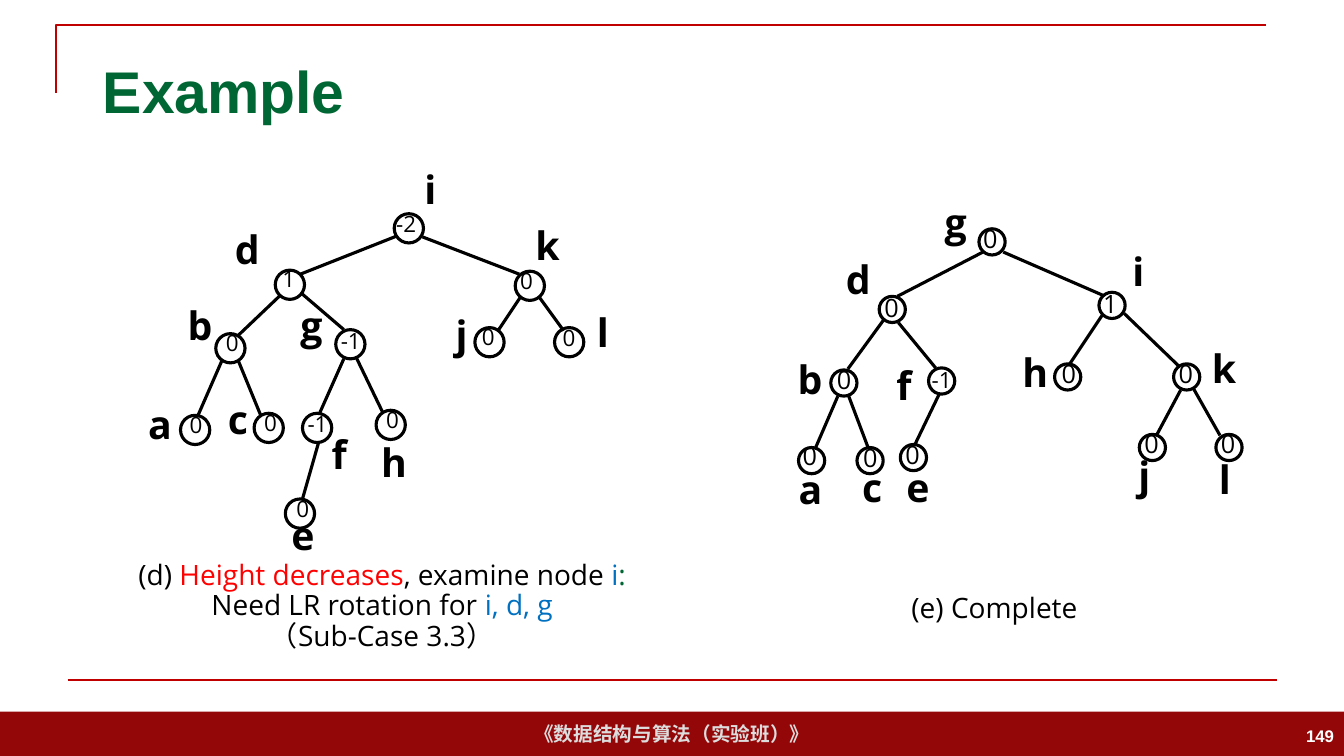
"""Build a slide that shows an AVL tree before and after an LR rotation."""
from lxml import etree
from pptx import Presentation, util as u
from pptx.dml.color import RGBColor
from pptx.enum import shapes, text
from pptx.oxml import ns

BLACK = RGBColor(0x00, 0x00, 0x00)
WHITE = RGBColor(0xFF, 0xFF, 0xFF)
GREY = RGBColor(0xDD, 0xDD, 0xDD)
GREEN = RGBColor(0x00, 0x66, 0x33)
BLUE = RGBColor(0x00, 0x70, 0xC0)
RED = RGBColor(0xFF, 0x00, 0x00)
RULE_RED = RGBColor(0xC0, 0x00, 0x00)
BAR_RED = RGBColor(0x94, 0x07, 0x09)

LEFT_ALIGN, CENTER, RIGHT_ALIGN = (
    text.PP_ALIGN.LEFT, text.PP_ALIGN.CENTER, text.PP_ALIGN.RIGHT)
MIDDLE = text.MSO_ANCHOR.MIDDLE
TIGHT = {"margin_left": 0, "margin_top": 0, "margin_right": 0,
         "margin_bottom": 0, "word_wrap": True}
VALUE = {"name": "Open Sans", "size": u.Pt(16), "bold": False}
LARGE_VALUE = {**VALUE, "size": u.Pt(18)}
LABEL = {"name": "Open Sans", "size": u.Pt(28), "bold": True}
CAPTION = {"name": "Open Sans", "size": u.Pt(20), "bold": False}
TITLE = {"name": "Arial", "size": u.Pt(42), "bold": True}
FOOTER = {"name": "Arial", "size": u.Pt(14), "bold": True}
PAGE_NUMBER = {**FOOTER, "size": u.Pt(12)}

# Node: label, label left and top, balance, ring left and top, balance left and top
UNBALANCED_NODES = [
    ("i", 4.21, 1.69, "-2", 3.91, 2.12, 3.93, 2.12),
    ("d", 2.33, 2.29, "1", 2.73, 2.68, 2.80, 2.66),
    ("k", 5.31, 2.25, "0", 5.11, 2.69, 5.16, 2.68),
    ("b", 1.86, 3.04, "0", 2.14, 3.31, 2.24, 3.30),
    ("g", 2.98, 3.04, "-1", 3.33, 3.27, 3.38, 3.28),
    ("j", 4.52, 3.13, "0", 4.71, 3.25, 4.78, 3.24),
    ("l", 5.92, 3.11, "0", 5.50, 3.25, 5.58, 3.25),
    ("a", 1.47, 4.02, "0", 1.79, 4.12, 1.88, 4.11),
    ("c", 2.26, 3.97, "0", 2.52, 4.10, 2.62, 4.09),
    ("f", 3.29, 4.32, "-1", 3.00, 4.10, 3.05, 4.10),
    ("h", 3.78, 4.40, "0", 3.73, 4.07, 3.83, 4.06),
    ("e", 2.89, 5.13, "0", 2.83, 4.95, 2.94, 4.94),
]
UNBALANCED_EDGES = [
    (3.94, 2.34, 2.98, 2.72), (4.19, 2.35, 5.15, 2.72),
    (2.77, 2.94, 2.36, 3.33), (2.99, 2.91, 3.41, 3.27),
    (5.16, 2.95, 4.94, 3.28), (5.35, 2.95, 5.59, 3.28),
    (2.20, 3.58, 1.96, 4.13), (2.36, 3.57, 2.59, 4.13),
    (3.41, 3.56, 3.17, 4.10), (3.53, 3.54, 3.80, 4.10),
    (3.16, 4.39, 3.00, 4.95),
]
BALANCED_NODES = [
    ("g", 9.37, 2.02, "0", 9.71, 2.27, 9.75, 2.25),
    ("d", 8.39, 2.59, "0", 8.72, 2.94, 8.77, 2.93),
    ("i", 11.23, 2.51, "1", 10.90, 2.90, 10.94, 2.89),
    ("b", 7.91, 3.58, "0", 8.24, 3.67, 8.30, 3.65),
    ("f", 8.89, 3.64, "-1", 9.21, 3.65, 9.24, 3.66),
    ("h", 10.14, 3.51, "0", 10.46, 3.61, 10.53, 3.59),
    ("k", 12.02, 3.47, "0", 11.64, 3.61, 11.69, 3.59),
    ("a", 7.92, 4.67, "0", 7.92, 4.44, 7.96, 4.40),
    ("c", 8.55, 4.65, "0", 8.50, 4.44, 8.56, 4.42),
    ("e", 8.99, 4.65, "0", 8.93, 4.41, 8.98, 4.39),
    ("j", 11.29, 4.53, "0", 11.30, 4.31, 11.35, 4.28),
    ("l", 12.09, 4.57, "0", 12.06, 4.31, 12.11, 4.28),
]
BALANCED_EDGES = [
    (9.75, 2.50, 8.90, 2.94), (9.95, 2.50, 10.94, 2.93),
    (8.76, 3.18, 8.41, 3.66), (8.91, 3.20, 9.28, 3.65),
    (10.93, 3.13, 10.61, 3.61), (11.15, 3.11, 11.69, 3.63),
    (8.31, 3.93, 8.09, 4.44), (8.41, 3.91, 8.61, 4.44),
    (9.32, 3.90, 9.07, 4.42), (11.71, 3.87, 11.47, 4.32),
    (11.84, 3.86, 12.10, 4.32),
]
ROTATION_CAPTION = [
    [("(d) ", BLACK), ("Height decreases", RED), (", examine node ", BLACK),
     ("i", BLUE), (": ", GREEN), ("Need LR rotation for ", BLACK),
     ("i, d, g", BLUE)],
    [("（Sub-Case 3.3）", BLACK)],
]


def apply(target, values):
    """Set each named attribute of the target."""
    for name, value in values.items():
        setattr(target, name, value)


def inches(*lengths):
    """Turn plain numbers into lengths."""
    return [u.Inches(length) for length in lengths]


def write(frame, paragraphs, font, frame_values, align=LEFT_ALIGN, spacing=1.0):
    """Fill a text frame with paragraphs of (words, colour) spans."""
    apply(frame, frame_values)
    for index, spans in enumerate(paragraphs):
        para = frame.add_paragraph() if index else frame.paragraphs[0]
        apply(para, {"alignment": align, "line_spacing": spacing})
        for words, colour in spans:
            span = para.add_run()
            span.text = words
            apply(span.font, font)
            span.font.color.rgb = colour


def add_text(page, place, paragraphs, font, align=LEFT_ALIGN):
    """Add a text box without insets."""
    box = page.shapes.add_textbox(*inches(*place))
    write(box.text_frame, paragraphs, font, TIGHT, align, 0.9)


def add_line(page, ends, colour, width):
    """Add a straight line without a shadow."""
    line = page.shapes.add_connector(shapes.MSO_CONNECTOR.STRAIGHT, *inches(*ends))
    line.line.color.rgb = colour
    line.line.width = u.Pt(width)
    etree.SubElement(line._element.spPr, ns.qn("a:effectLst"))


def outline(shape, colour, width):
    """Give a shape a plain outline and no fill."""
    shape.shadow.inherit = False
    shape.fill.background()
    shape.line.color.rgb = colour
    shape.line.width = u.Pt(width)


def add_tree(page, nodes, edges, ring_size, value_font):
    """Draw the edges, rings, balance factors and labels of a tree."""
    for ends in edges:
        add_line(page, ends, BLACK, 2.25)
    for label, label_x, label_y, balance, ring_x, ring_y, x, y in nodes:
        ring = page.shapes.add_shape(
            shapes.MSO_SHAPE.OVAL, *inches(ring_x, ring_y, ring_size, ring_size))
        outline(ring, BLACK, 2.25)
        font = VALUE if len(balance) > 1 else value_font
        add_text(page, (x, y, 0.32, 0.36), [[(balance, BLACK)]], font)
        add_text(page, (label_x, label_y, 0.22, 0.36), [[(label, BLACK)]], LABEL)


def add_frame(page):
    """Add the corner rule, the lower rule and the footer bar."""
    bar = page.shapes.add_shape(
        shapes.MSO_SHAPE.RECTANGLE, *inches(0, 7.06, 13.33, 0.44))
    bar.shadow.inherit = False
    bar.fill.solid()
    bar.fill.fore_color.rgb = BAR_RED
    bar.line.fill.background()
    write(bar.text_frame, [[("《数据结构与算法（实验班）》", GREY)]], FOOTER,
          {"vertical_anchor": MIDDLE, "word_wrap": False}, CENTER)
    builder = page.shapes.build_freeform(*inches(0.56, 0.92))
    builder.add_line_segments(
        [inches(0.56, 0.25), inches(12.56, 0.25)], close=False)
    outline(builder.convert_to_shape(), RULE_RED, 1.5)
    add_line(page, (0.67, 6.75, 12.67, 6.75), RULE_RED, 1.5)
    number = page.shapes.add_textbox(*inches(10.33, 7.1, 3, 0.4))
    write(number.text_frame, [[("149", WHITE)]], PAGE_NUMBER,
          {"vertical_anchor": MIDDLE, "word_wrap": True}, RIGHT_ALIGN)


def add_title(page):
    """Place and format the title."""
    title = page.shapes.title
    apply(title, dict(zip(("left", "top", "width", "height"),
                          inches(0.92, 0.4, 11.5, 0.99))))
    write(title.text_frame, [[("Example", GREEN)]], TITLE,
          {"vertical_anchor": MIDDLE, "word_wrap": True})


def main():
    """Build and save the deck."""
    deck = Presentation()
    apply(deck, {"slide_width": u.Inches(13.33), "slide_height": u.Inches(7.5)})
    page = deck.slides.add_slide(deck.slide_layouts[5])
    add_frame(page)
    add_title(page)
    add_tree(page, UNBALANCED_NODES, UNBALANCED_EDGES, 0.29, VALUE)
    add_text(page, (1.27, 5.57, 5.04, 0.91), ROTATION_CAPTION, CAPTION, CENTER)
    add_tree(page, BALANCED_NODES, BALANCED_EDGES, 0.26, LARGE_VALUE)
    add_text(page, (9.04, 5.9, 3.26, 0.8), [[("(e) Complete", BLACK)]], CAPTION)
    deck.save("out.pptx")


if __name__ == "__main__":
    main()
